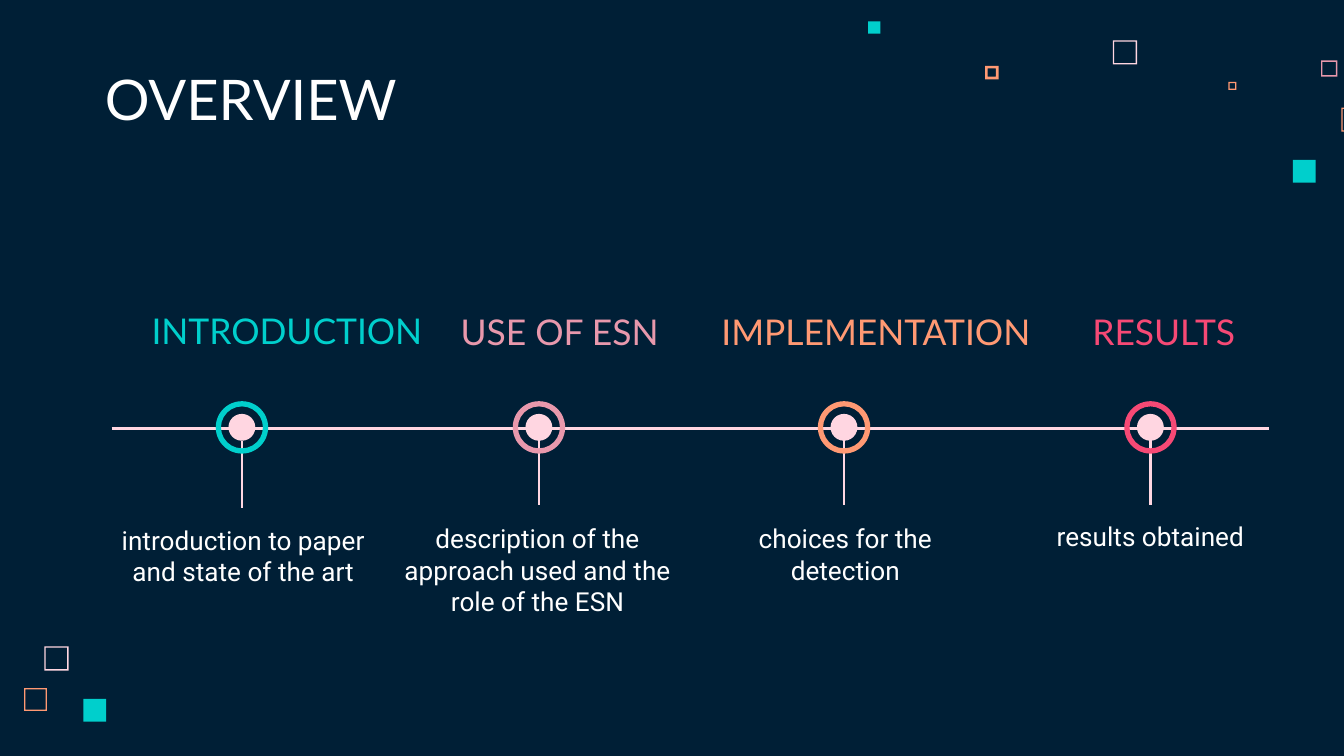
from dataclasses import dataclass

from lxml import etree
from pptx import Presentation
from pptx import util as u
from pptx.dml.color import RGBColor
from pptx.enum import shapes, text
from pptx.oxml.ns import qn


@dataclass(frozen=True)
class Theme:
    background: str = "001F36"
    white: str = "FFFFFF"
    blush: str = "FFD6E1"
    teal: str = "00CFCC"
    rose: str = "E898AC"
    orange: str = "FF9973"
    red: str = "F64975"
    heading_font: str = "Lato"
    body_font: str = "Roboto"
    title_size: int = 30
    heading_size: int = 19
    body_size: int = 14
    line_width: float = 1.5


@dataclass(frozen=True)
class Step:
    heading: str
    description: str
    color: str
    center: float
    heading_left: float
    heading_top: float
    stem_top: float
    description_left: float
    description_top: float
    space_after: int = 0


@dataclass(frozen=True)
class Square:
    left: float
    top: float
    size: float
    color: str
    border: float = 0  # zero means solid


THEME = Theme()
SLIDE_WIDTH = 10
SLIDE_HEIGHT = SLIDE_WIDTH * 9 / 16
AXIS, MARKER_CENTER = 3.19, 3.18
STEM_LENGTH = 0.5
RING_SIZE, DOT_SIZE = 0.39, 0.2
RING_THICKNESS = 0.1

STEPS = [
    Step("INTRODUCTION", "introduction to paper and state of the art",
         THEME.teal, 1.8, 1.03, 2.3, 3.28, 0.71, 3.8),
    Step("USE OF ESN", "description of the approach used and the role of the ESN",
         THEME.rose, 4.01, 3.33, 2.31, 3.26, 2.9, 3.79, 16),
    Step("IMPLEMENTATION", "choices for the detection",
         THEME.orange, 6.28, 5.27, 2.31, 3.26, 5.19, 3.79),
    Step("RESULTS", "results obtained",
         THEME.red, 8.56, 8.03, 2.31, 3.26, 7.46, 3.77, 16),
]

SQUARES = [
    Square(8.28, 0.3, 0.18, THEME.blush, 0.01),
    Square(9.83, 0.45, 0.12, THEME.rose, 0.01),
    Square(9.14, 0.61, 0.06, THEME.orange, 0.01),
    Square(9.98, 0.8, 0.18, THEME.orange, 0.01),
    Square(9.62, 1.19, 0.17, THEME.teal),
    Square(7.33, 0.49, 0.1, THEME.orange, 0.02),
    Square(6.46, 0.16, 0.09, THEME.teal),
    Square(0.33, 4.81, 0.18, THEME.blush, 0.01),
    Square(0.62, 5.2, 0.17, THEME.teal),
    Square(0.18, 5.12, 0.17, THEME.orange, 0.01),
]


def rgb(color: str) -> RGBColor:
    return RGBColor.from_string(color)


def place(shape, left: float, top: float, width: float, height: float) -> None:
    shape.left, shape.top = u.Inches(left), u.Inches(top)
    shape.width, shape.height = u.Inches(width), u.Inches(height)


def write(shape, words: str, font_name: str, size: int, color: str,
          alignment, anchor, space_after: int = 0) -> None:
    frame = shape.text_frame
    frame.word_wrap = True
    frame.auto_size = text.MSO_AUTO_SIZE.NONE
    frame.vertical_anchor = anchor
    frame.margin_left = frame.margin_right = u.Inches(0.1)
    frame.margin_top = frame.margin_bottom = u.Inches(0.1)
    frame.text = words
    paragraph = frame.paragraphs[0]
    paragraph.alignment = alignment
    paragraph.space_before = u.Pt(0)
    paragraph.space_after = u.Pt(space_after)
    paragraph.font.name = font_name
    paragraph.font.size = u.Pt(size)
    paragraph.font.bold = False
    paragraph.font.color.rgb = rgb(color)


def remove_bullet(paragraph) -> None:
    properties = paragraph._p.get_or_add_pPr()
    properties.set("marL", "0")
    properties.set("indent", "0")
    bullet = etree.Element(qn("a:buNone"))
    properties.find(qn("a:defRPr")).addprevious(bullet)


def add_filled(container, kind, left: float, top: float, size: float, color: str):
    shape = container.add_shape(kind, u.Inches(left), u.Inches(top),
                                u.Inches(size), u.Inches(size))
    shape.shadow.inherit = False
    shape.fill.solid()
    shape.fill.fore_color.rgb = rgb(color)
    shape.line.fill.background()
    return shape


def add_square(slide, square: Square) -> None:
    kind = shapes.MSO_SHAPE.FRAME if square.border else shapes.MSO_SHAPE.RECTANGLE
    shape = add_filled(slide.shapes, kind, square.left, square.top,
                       square.size, square.color)
    if square.border:
        shape.adjustments[0] = square.border / square.size


def add_line(slide, x1: float, y1: float, x2: float, y2: float) -> None:
    line = slide.shapes.add_connector(
        shapes.MSO_CONNECTOR.STRAIGHT,
        u.Inches(x1), u.Inches(y1), u.Inches(x2), u.Inches(y2))
    line.line.color.rgb = rgb(THEME.blush)
    line.line.width = u.Pt(THEME.line_width)
    etree.SubElement(line._element.spPr, qn("a:effectLst"))


def add_marker(slide, step: Step) -> None:
    group = slide.shapes.add_group_shape()
    add_filled(group.shapes, shapes.MSO_SHAPE.OVAL, step.center - DOT_SIZE / 2,
               MARKER_CENTER - DOT_SIZE / 2, DOT_SIZE, THEME.blush)
    ring = add_filled(group.shapes, shapes.MSO_SHAPE.DONUT, step.center - RING_SIZE / 2,
                      MARKER_CENTER - RING_SIZE / 2, RING_SIZE, step.color)
    ring.adjustments[0] = RING_THICKNESS


def add_step_text(slide, step: Step, description) -> None:
    heading = slide.shapes.add_textbox(u.Inches(step.heading_left), u.Inches(step.heading_top),
                                       u.Inches(2.64), u.Inches(0.31))
    write(heading, step.heading, THEME.heading_font, THEME.heading_size, step.color,
          text.PP_ALIGN.LEFT, text.MSO_ANCHOR.MIDDLE)
    place(description, step.description_left, step.description_top, 2.2, 0.91)
    write(description, step.description, THEME.body_font, THEME.body_size, THEME.white,
          text.PP_ALIGN.CENTER, text.MSO_ANCHOR.TOP, step.space_after)
    remove_bullet(description.text_frame.paragraphs[0])


def main() -> None:
    presentation = Presentation()
    presentation.slide_width = u.Inches(SLIDE_WIDTH)
    presentation.slide_height = u.Inches(SLIDE_HEIGHT)
    # The comparison layout has a title and four body placeholders
    slide = presentation.slides.add_slide(presentation.slide_layouts[4])
    slide.background.fill.solid()
    slide.background.fill.fore_color.rgb = rgb(THEME.background)
    title, *descriptions = slide.placeholders

    # Title
    place(title, 0.68, 0.45, 5.17, 0.63)
    write(title, "OVERVIEW", THEME.heading_font, THEME.title_size, THEME.white,
          text.PP_ALIGN.LEFT, text.MSO_ANCHOR.BOTTOM)

    # Scattered squares
    for square in SQUARES:
        add_square(slide, square)

    # Timeline: stems and axis below the markers
    for step in STEPS:
        add_line(slide, step.center, step.stem_top, step.center, step.stem_top + STEM_LENGTH)
    add_line(slide, 0.83, AXIS, 9.44, AXIS)
    for step, description in zip(STEPS, descriptions):
        add_marker(slide, step)
        add_step_text(slide, step, description)

    presentation.save("out.pptx")


if __name__ == "__main__":
    main()
